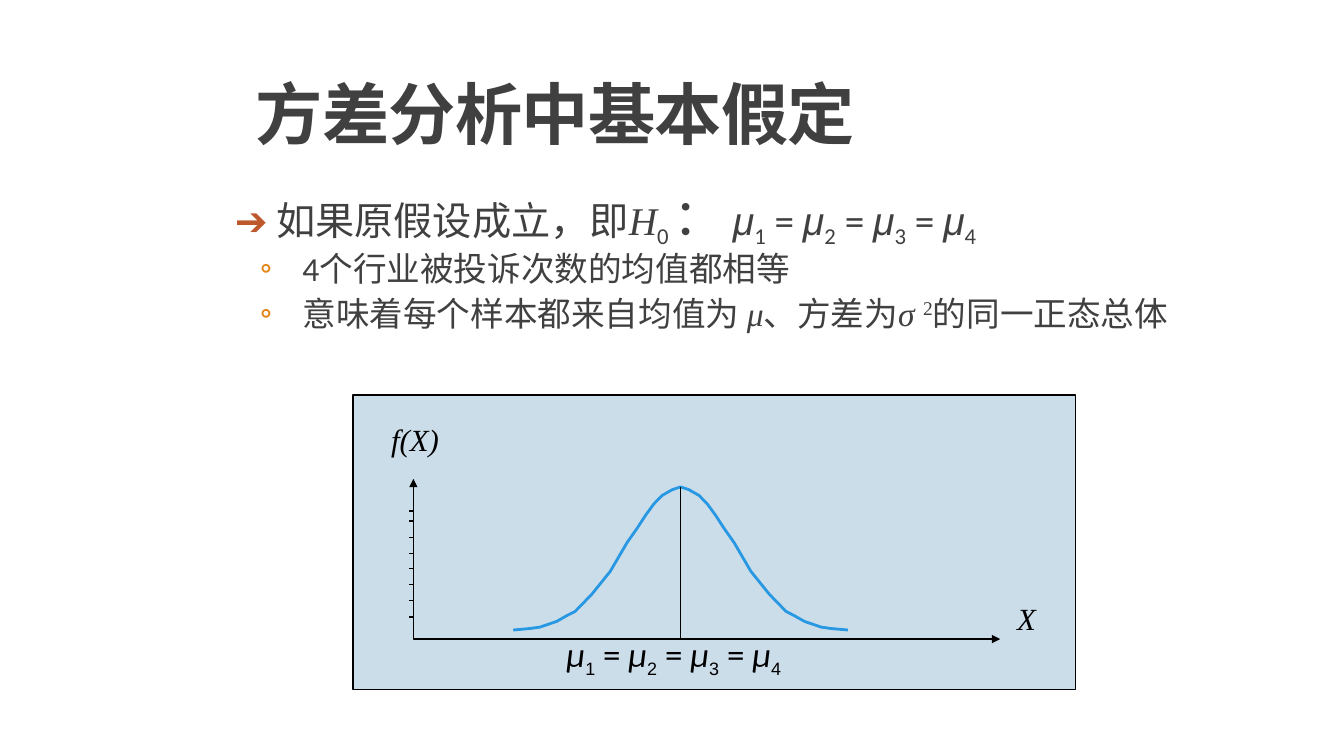
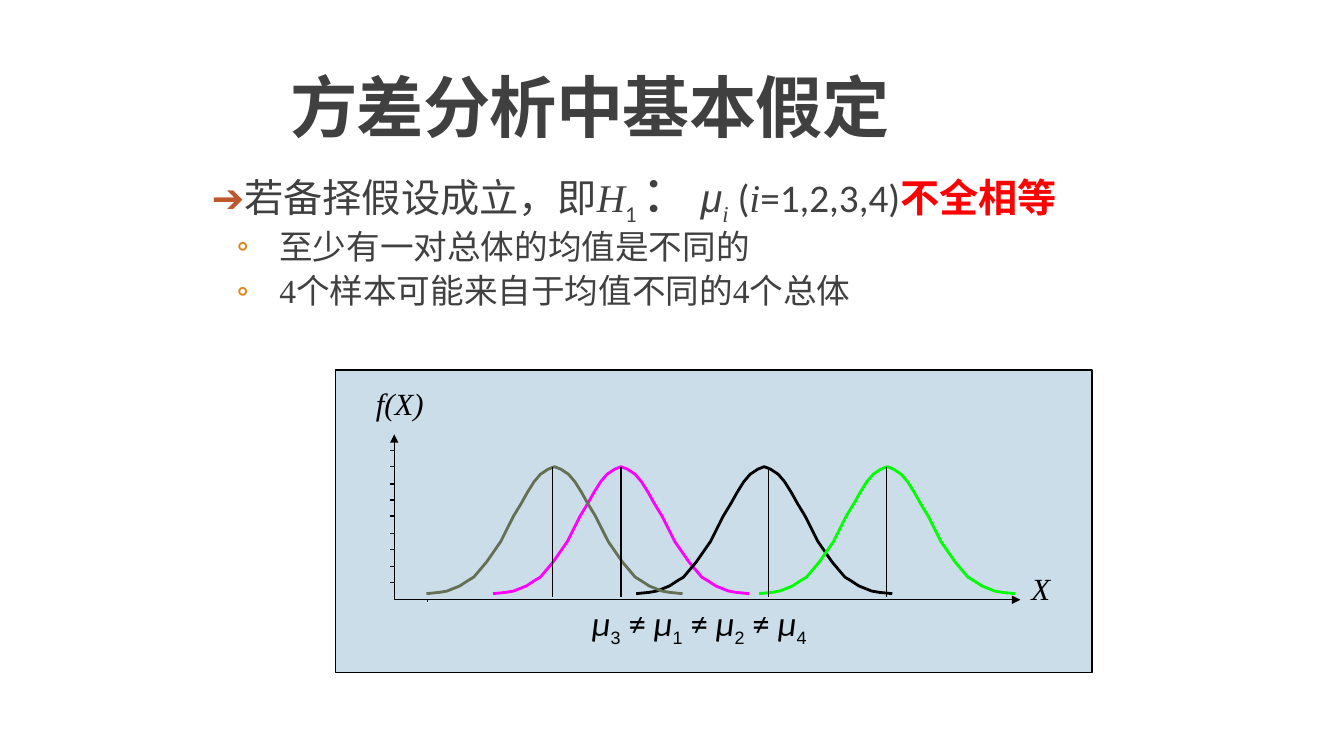
from collections.abc import Iterable, Sequence
from dataclasses import dataclass, replace

from lxml.etree import SubElement
from pptx import Presentation
from pptx.dml.color import RGBColor as Rgb
from pptx.enum.shapes import MSO_CONNECTOR as Connector, MSO_SHAPE as Preset
from pptx.enum.text import MSO_ANCHOR as Anchor, MSO_AUTO_SIZE as AutoSize, PP_ALIGN as Align
from pptx.oxml.ns import qn
from pptx.util import Pt

PX = 9144  # EMU per px, 100 px to the inch


@dataclass(frozen=True)
class Theme:
    text: str = "404040"
    arrow: str = "BD582C"
    bullet: str = "E48312"
    alert: str = "FF0000"
    ink: str = "000000"
    panel: str = "CCDDEA"
    sans: str = "Calibri"
    symbol: str = "Arial"
    serif: str = "Times New Roman"
    cjk: str = "Noto Sans CJK SC"
    title_size: int = 48
    colon_size: int = 36
    lead_size: int = 28
    point_size: int = 24
    mean_size: int = 25
    label_size: int = 22
    thin: int = 1
    thick: int = 2


THEME = Theme()


@dataclass(frozen=True)
class Run:
    text: str
    font: str = THEME.sans
    size: int = THEME.lead_size
    color: str = THEME.text
    italic: bool = False
    bold: bool = False
    baseline: int = 0
    spacing: int = 0


@dataclass(frozen=True)
class Box:
    left: int
    top: int
    width: int
    height: int

    def emu(self) -> tuple[int, int, int, int]:
        return self.left * PX, self.top * PX, self.width * PX, self.height * PX


@dataclass(frozen=True)
class Level:
    margin: int
    hanging: int
    before: int
    after: int
    bullet: str


LEAD = Level(50, 50, 12, 2, " ")
POINT = Level(117, 42, 2, 4, "◦")


@dataclass(frozen=True)
class Bell:
    peak: int
    mean: int
    color: str


@dataclass(frozen=True)
class Plot:
    panel: Box
    y_label: Box
    x_label: Box
    axis_left: int
    axis_top: int
    axis_right: int
    axis_bottom: int
    y_ticks: Sequence[int]
    x_ticks: Sequence[int]
    bells: Sequence[Bell]
    bell_top: int
    half_width: int
    bell_height: int
    mean_bottom: int
    caption_box: Box
    caption: Sequence[Run]
    caption_align: Align


@dataclass(frozen=True)
class Page:
    title_box: Box
    body_box: Box
    lead: Sequence[Run]
    points: Sequence[Sequence[Run]]
    plot: Plot


# Right half of a bell: percent of half width, percent of height below the peak
BELL_PROFILE = (
    (0, 0), (5, 2), (11, 6), (16, 12), (21, 20), (26, 29), (32, 39), (42, 59),
    (53, 75), (63, 87), (68, 90), (74, 94), (79, 96), (84, 98), (90, 99), (100, 100),
)


def evenly(first: int, last: int, count: int) -> list[int]:
    return [round(first + i * (last - first) / (count - 1)) for i in range(count)]


def mean_chain(order: str, relation: str, mu: Run, index: Run) -> list[Run]:
    """Chain indexed means, such as μ1 = μ2, with the relation between them."""
    chain: list[Run] = []
    for position, digit in enumerate(order):
        if position:
            chain.append(replace(mu, text=f" {relation} ", font=THEME.sans, italic=False))
        chain += [mu, replace(index, text=digit)]
    return chain


def add_run(paragraph, part: Run) -> None:
    run = paragraph.add_run()
    run.text = part.text
    font = run.font
    font.name, font.size = part.font, Pt(part.size)
    font.italic, font.bold = part.italic, part.bold
    font.color.rgb = Rgb.from_string(part.color)
    props = run._r.get_or_add_rPr()
    if part.baseline:
        props.set("baseline", str(part.baseline * 1000))
    if part.spacing:
        props.set("spc", str(part.spacing))
    latin = props.find(qn("a:latin"))
    east_asian = props.makeelement(qn("a:ea"), {"typeface": THEME.cjk})
    latin.addnext(east_asian)


def add_text(slide, box: Box, parts: Iterable[Run], wrap: bool = True,
             align: Align = Align.LEFT):
    frame = slide.shapes.add_textbox(*box.emu()).text_frame
    frame.word_wrap = wrap
    paragraph = frame.paragraphs[0]
    paragraph.alignment = align
    for part in parts:
        add_run(paragraph, part)
    return frame


def add_title(slide, box: Box) -> None:
    heading = Run("方差分析中基本假定", size=THEME.title_size, bold=True, spacing=-50)
    frame = add_text(slide, box, [heading])
    frame.vertical_anchor = Anchor.BOTTOM
    frame.paragraphs[0].line_spacing = 0.85


def set_level(paragraph, level: Level) -> None:
    paragraph.line_spacing = 0.9
    paragraph.space_before, paragraph.space_after = Pt(level.before), Pt(level.after)
    props = paragraph._p.get_or_add_pPr()
    props.set("marL", str(level.margin * PX))
    props.set("indent", str(-level.hanging * PX))
    color = SubElement(props, qn("a:buClr"))
    SubElement(color, qn("a:srgbClr"), val=THEME.bullet)
    SubElement(props, qn("a:buFont"), typeface=THEME.sans)
    SubElement(props, qn("a:buChar"), char=level.bullet)


def add_body(slide, page: Page) -> None:
    frame = add_text(slide, page.body_box, page.lead)
    frame.margin_left = frame.margin_right = 0
    set_level(frame.paragraphs[0], LEAD)
    for point in page.points:
        paragraph = frame.add_paragraph()
        set_level(paragraph, POINT)
        for part in point:
            add_run(paragraph, part)


def set_line(shape, color: str, width: int) -> None:
    shape.line.color.rgb = Rgb.from_string(color)
    shape.line.width = Pt(width)


def add_panel(slide, box: Box) -> None:
    panel = slide.shapes.add_shape(Preset.RECTANGLE, *box.emu())
    panel.shadow.inherit = False
    panel.fill.solid()
    panel.fill.fore_color.rgb = Rgb.from_string(THEME.panel)
    set_line(panel, THEME.ink, THEME.thin)


def add_segment(slide, x1: int, y1: int, x2: int, y2: int) -> None:
    segment = slide.shapes.add_connector(
        Connector.STRAIGHT, x1 * PX, y1 * PX, x2 * PX, y2 * PX)
    set_line(segment, THEME.ink, THEME.thin)
    SubElement(segment._element.spPr, qn("a:effectLst"))


def add_outline(slide, points: Sequence[tuple[float, float]], color: str, width: int):
    """Draw an open, unfilled line through points given in px."""
    corners = [(round(x * PX), round(y * PX)) for x, y in points]
    builder = slide.shapes.build_freeform(*corners[0])
    builder.add_line_segments(corners[1:], close=False)
    outline = builder.convert_to_shape()
    outline.shadow.inherit = False
    outline.fill.background()
    set_line(outline, color, width)
    return outline


def add_axes(slide, plot: Plot) -> None:
    left, bottom = plot.axis_left, plot.axis_bottom
    axes = add_outline(
        slide, [(left, plot.axis_top), (left, bottom), (plot.axis_right, bottom)],
        THEME.ink, THEME.thin)
    for end in ("a:headEnd", "a:tailEnd"):
        SubElement(axes.line._get_or_add_ln(), qn(end), type="triangle")
    for y in plot.y_ticks:
        add_segment(slide, left - 4, y, left, y)
    for x in plot.x_ticks:
        add_segment(slide, x, bottom, x, bottom + 2)


def add_bell(slide, plot: Plot, bell: Bell) -> None:
    def side(sign: int) -> list[tuple[float, float]]:
        return [(bell.peak + sign * plot.half_width * x / 100,
                 plot.bell_top + plot.bell_height * y / 100) for x, y in BELL_PROFILE]

    add_outline(slide, side(-1)[::-1] + side(1)[1:], bell.color, THEME.thick)


def add_plot(slide, plot: Plot) -> None:
    add_panel(slide, plot.panel)
    for box, name in ((plot.x_label, "X"), (plot.y_label, "f(X)")):
        label = Run(name, THEME.serif, THEME.label_size, THEME.ink, italic=True)
        add_text(slide, box, [label], wrap=False).auto_size = AutoSize.SHAPE_TO_FIT_TEXT
    add_axes(slide, plot)
    for bell in plot.bells:
        add_bell(slide, plot, bell)
    for bell in plot.bells:
        add_segment(slide, bell.mean, plot.bell_top, bell.mean, plot.mean_bottom)
    add_text(slide, plot.caption_box, plot.caption, align=plot.caption_align)


SERIF = Run("", THEME.serif)
SERIF_POINT = replace(SERIF, size=THEME.point_size)
ARROW = replace(SERIF, text="➔", color=THEME.arrow)
HYPOTHESIS = replace(SERIF, text="H", italic=True)
COLON = Run("：", size=THEME.colon_size)
MU = Run("μ", THEME.symbol, italic=True)
INDEX = Run("", baseline=-25)
PLOT_MU = Run("μ", size=THEME.mean_size, color=THEME.ink, italic=True)
PLOT_INDEX = Run("", THEME.symbol, THEME.label_size, THEME.ink, baseline=-25)

NULL_HYPOTHESIS = Page(
    title_box=Box(244, 32, 989, 125),
    body_box=Box(183, 182, 1023, 288),
    lead=[replace(ARROW, text="➔ "), replace(SERIF, text="如果原假设成立，即"), HYPOTHESIS,
          replace(INDEX, text="0 "), COLON, Run(" "), *mean_chain("1234", "=", MU, INDEX)],
    points=[
        [Run("4个行业被投诉次数的均值都相等", size=THEME.point_size)],
        [Run("意味着", size=THEME.point_size),
         replace(SERIF_POINT, text="每个样本都来自均值为"),
         replace(SERIF_POINT, text=" μ", italic=True),
         replace(SERIF_POINT, text="、方差为"),
         replace(SERIF_POINT, text="σ ", italic=True),
         replace(SERIF_POINT, text="2", baseline=30),
         replace(SERIF_POINT, text="的同一正态总体")],
    ],
    plot=Plot(
        panel=Box(350, 392, 717, 292),
        y_label=Box(378, 412, 71, 47), x_label=Box(999, 590, 40, 47),
        axis_left=410, axis_top=475, axis_right=992, axis_bottom=634,
        y_ticks=[507, *evenly(517, 612, 7)], x_ticks=[],
        bells=[Bell(675, 675, "2998E3")],
        bell_top=483, half_width=166, bell_height=142, mean_bottom=633,
        caption_box=Box(552, 623, 373, 52), caption_align=Align.LEFT,
        caption=mean_chain("1234", "=", PLOT_MU, PLOT_INDEX)),
)

ALTERNATIVE_HYPOTHESIS = Page(
    title_box=Box(278, 25, 989, 125),
    body_box=Box(160, 160, 1013, 248),
    lead=[ARROW, replace(SERIF, text="若备择假设成立，即"), HYPOTHESIS,
          replace(INDEX, text="1 "), COLON, Run(" "), MU,
          replace(SERIF, text="i", italic=True, baseline=-25), Run(" ("),
          replace(SERIF, text="i", italic=True), Run("=1,2,3,4)"),
          Run("不全相等", THEME.cjk, color=THEME.alert, bold=True)],
    points=[
        [Run("至少有一对总体的均值是不同的", size=THEME.point_size)],
        [replace(SERIF_POINT, text="4个样本可能来自于均值不同的4个总体")],
    ],
    plot=Plot(
        panel=Box(333, 367, 750, 300),
        y_label=Box(363, 377, 68, 47), x_label=Box(1013, 560, 39, 47),
        axis_left=391, axis_top=431, axis_right=1012, axis_bottom=595,
        y_ticks=evenly(447, 578, 9), x_ticks=[424],
        bells=[Bell(616, 616, "FF00FF"), Bell(758, 762, THEME.ink),
               Bell(880, 879, "00FF00"), Bell(550, 548, "637052")],
        bell_top=463, half_width=127, bell_height=126, mean_bottom=592,
        caption_box=Box(528, 592, 331, 51), caption_align=Align.CENTER,
        caption=mean_chain("3124", "≠", PLOT_MU, PLOT_INDEX)),
)


def main() -> None:
    deck = Presentation()
    deck.slide_width, deck.slide_height = 1333 * PX, 750 * PX
    for page in (NULL_HYPOTHESIS, ALTERNATIVE_HYPOTHESIS):
        slide = deck.slides.add_slide(deck.slide_layouts[6])
        add_title(slide, page.title_box)
        add_body(slide, page)
        add_plot(slide, page.plot)
    deck.save("out.pptx")


if __name__ == "__main__":
    main()
